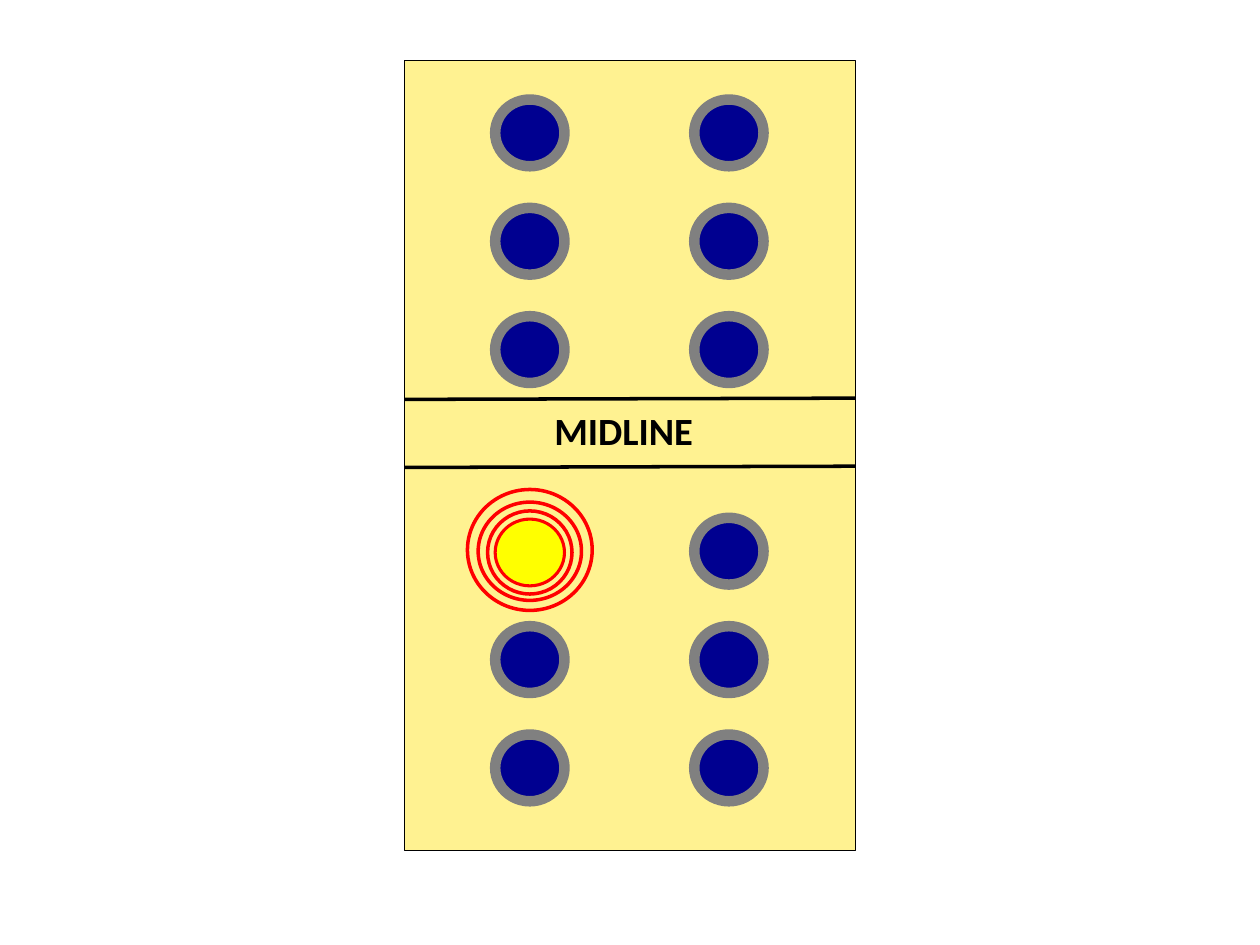
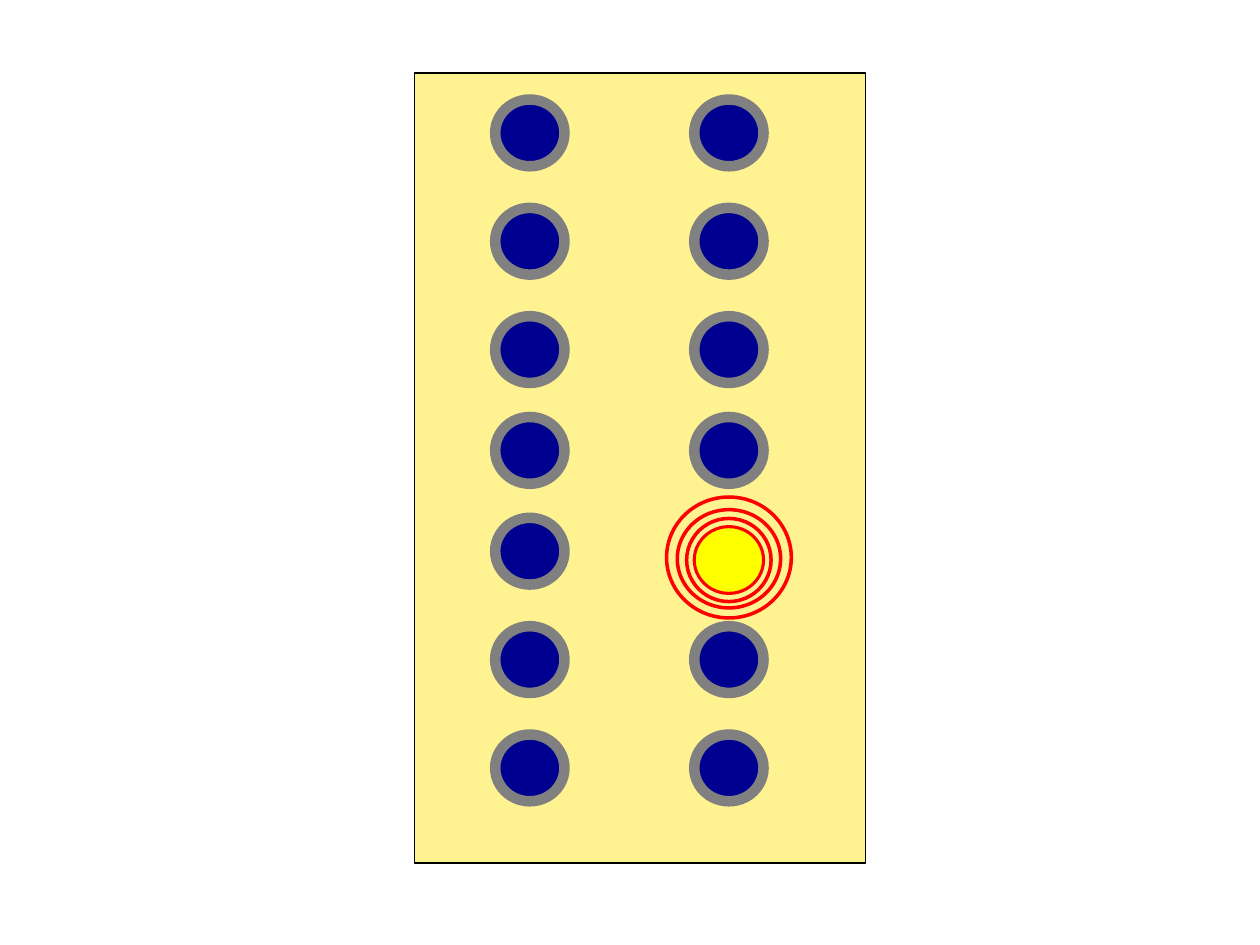
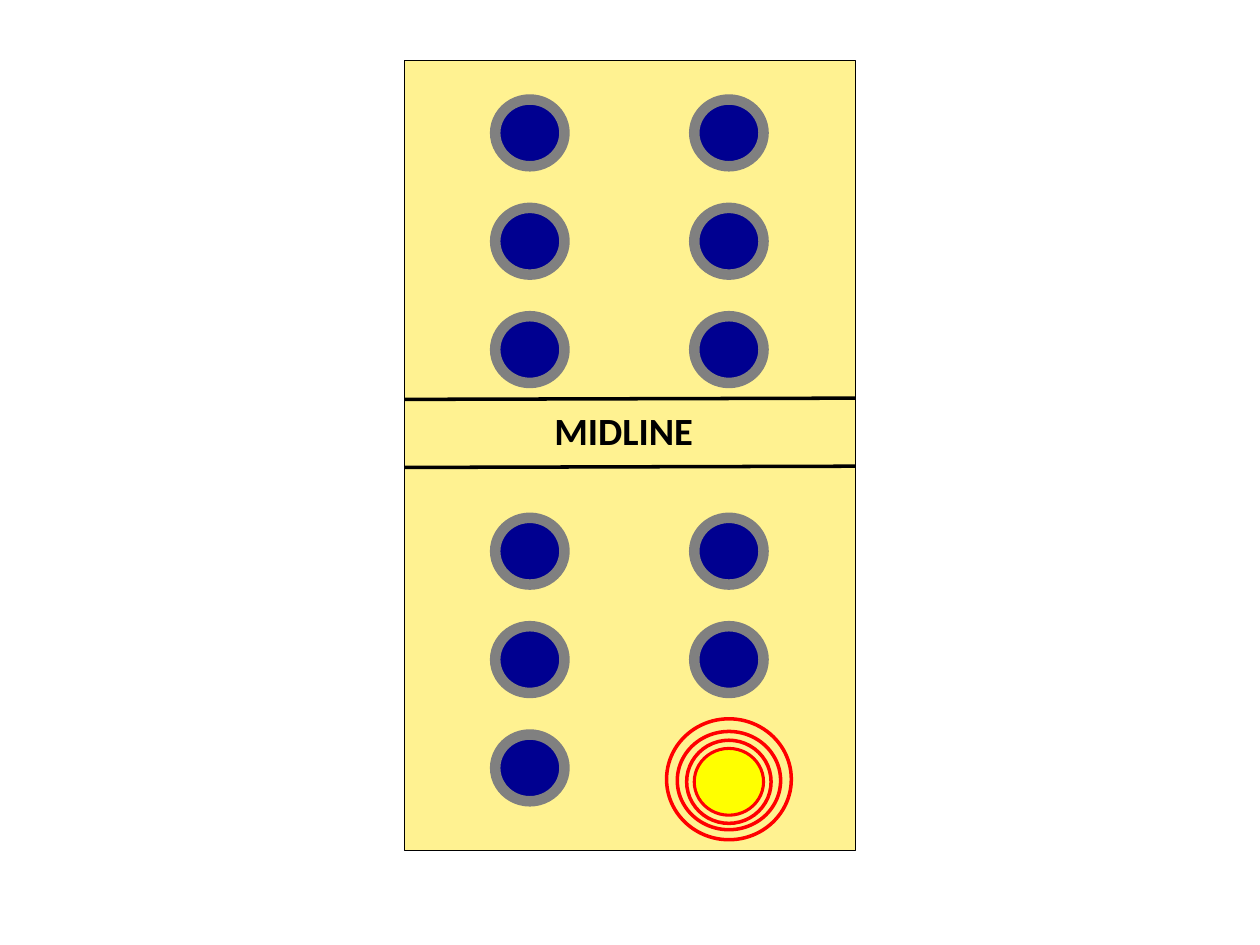
from itertools import product

from lxml import etree
from pptx import Presentation
from pptx.dml.color import RGBColor
from pptx.enum.shapes import MSO_CONNECTOR, MSO_SHAPE
from pptx.enum.text import MSO_AUTO_SIZE, PP_ALIGN
from pptx.oxml.ns import qn
from pptx.util import Inches, Pt

BLACK = RGBColor(0x00, 0x00, 0x00)
PANEL_YELLOW = RGBColor(0xFF, 0xF2, 0x91)
LAMP_BLUE = RGBColor(0x00, 0x00, 0x90)
RIM_GREY = RGBColor(0x80, 0x80, 0x80)
LIT_YELLOW = RGBColor(0xFF, 0xFF, 0x00)
RING_RED = RGBColor(0xFF, 0x00, 0x00)

GRID_COLUMNS, GRID_ROWS = 100, 75
PANEL_SIZE = 35.8, 62.7
LAMP_SIZE = 5.5, 5.3
LAMP_X = [42.05, 57.85]
PITCH = 8.6
UPPER_Y = [10.55 + PITCH * i for i in range(3)]
LOWER_Y = [43.75 + PITCH * i for i in range(3)]
CENTRE_Y = [(UPPER_Y[-1] + LOWER_Y[0]) / 2]
RINGS = [(8.2, 7.8, 0.1), (6.7, 6.6, 0), (9.9, 9.6, 0.2)]


class Board:
    font = "Calibri"

    def __init__(self):
        self.deck = Presentation()
        self.deck.slide_width, self.deck.slide_height = Inches(10), Inches(7.5)
        self.shapes = None

    def x(self, columns):
        return round(self.deck.slide_width * columns / GRID_COLUMNS)

    def y(self, rows):
        return round(self.deck.slide_height * rows / GRID_ROWS)

    def box(self, left, top, width, height):
        return self.x(left), self.y(top), self.x(width), self.y(height)

    def new_slide(self):
        slide = self.deck.slides.add_slide(self.deck.slide_layouts[6])
        self.shapes = slide.shapes.add_group_shape().shapes

    def shape(self, kind, box, fill, line, weight):
        shape = self.shapes.add_shape(kind, *self.box(*box))
        shape.shadow.inherit = False
        if fill is None:
            shape.fill.background()
        else:
            shape.fill.solid()
            shape.fill.fore_color.rgb = fill
        shape.line.color.rgb = line
        shape.line.width = Pt(weight)

    def panel(self, left, top):
        self.shape(MSO_SHAPE.RECTANGLE, (left, top, *PANEL_SIZE), PANEL_YELLOW, BLACK, 0.75)

    def disc(self, centre, size, fill, line, weight):
        (cx, cy), (width, height) = centre, size
        box = cx - width / 2, cy - height / 2, width, height
        self.shape(MSO_SHAPE.OVAL, box, fill, line, weight)

    def lamps(self, rows, lit):
        for cy, cx in product(rows, LAMP_X):
            if (cx, cy) != lit:
                self.disc((cx, cy), LAMP_SIZE, LAMP_BLUE, RIM_GREY, 6)

    def lit_lamp(self, position, drop):
        cx, cy = position[0], position[1] + drop
        self.disc((cx, cy), LAMP_SIZE, LIT_YELLOW, RING_RED, 1.75)
        for width, height, rise in RINGS:
            self.disc((cx, cy - rise), (width, height), None, RING_RED, 2)

    def rule(self, left, top):
        line = self.shapes.add_connector(
            MSO_CONNECTOR.STRAIGHT, self.x(left), self.y(top),
            self.x(left + PANEL_SIZE[0]), self.y(top - 0.1))
        line.line.color.rgb = BLACK
        line.line.width = Pt(2)
        properties = line._element.find(qn("p:spPr"))
        etree.SubElement(properties, qn("a:effectLst"))

    def label(self, text, box):
        frame = self.shapes.add_textbox(*self.box(*box)).text_frame
        frame.word_wrap = True
        frame.auto_size = MSO_AUTO_SIZE.SHAPE_TO_FIT_TEXT
        paragraph = frame.paragraphs[0]
        paragraph.alignment = PP_ALIGN.CENTER
        run = paragraph.add_run()
        run.text = text
        run.font.name, run.font.size, run.font.bold = self.font, Pt(22), True
        run.font.color.rgb = BLACK

    def midline(self, left):
        for top in (31.7, 37.1):
            self.rule(left, top)
        self.label("MIDLINE", (37, 31.8, 25, 4.7))

    def lamp_slide(self, panel, lit, drop, midline):
        self.new_slide()
        self.panel(*panel)
        middle = [] if midline else CENTRE_Y
        self.lamps(UPPER_Y + middle + LOWER_Y, lit)
        if midline:
            self.midline(panel[0])
        self.lit_lamp(lit, drop)


board = Board()
board.lamp_slide((32.1, 4.8), (LAMP_X[0], LOWER_Y[0]), 0.1, True)
board.lamp_slide((32.9, 5.8), (LAMP_X[1], LOWER_Y[0]), 0.7, False)
board.lamp_slide((32.1, 4.8), (LAMP_X[1], LOWER_Y[2]), 1.1, True)
board.deck.save("out.pptx")
